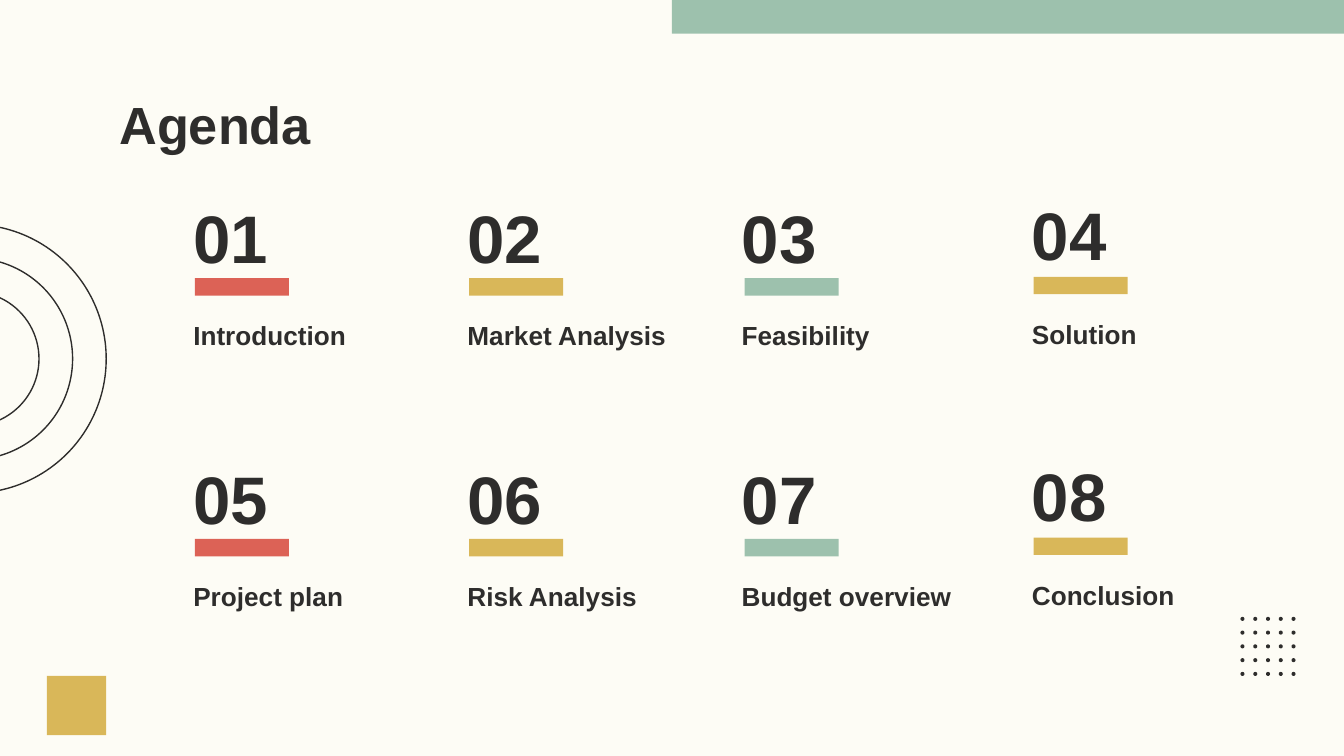
from dataclasses import dataclass
from itertools import product

from pptx import Presentation
from pptx.dml.color import RGBColor
from pptx.enum.shapes import MSO_SHAPE
from pptx.enum.text import MSO_ANCHOR
from pptx.util import Inches, Pt


@dataclass(frozen=True)
class Theme:
    font: str = "Arial"
    paper: str = "FDFCF5"
    ink: str = "2E2D2C"
    red: str = "DC6256"
    gold: str = "D9B759"
    green: str = "9DC1AD"
    title_size: int = 28
    number_size: int = 36
    label_size: int = 14
    ring_width: float = 0.75


THEME = Theme()

SLIDE_WIDTH = 10
SLIDE_HEIGHT = SLIDE_WIDTH * 9 / 16
COLUMNS = [
    (1.34, 1.45, 0, THEME.red),
    (3.38, 3.49, 0, THEME.gold),
    (5.42, 5.54, 0, THEME.green),
    (7.58, 7.69, 0.01, THEME.gold),
]
ROW_TOPS = [1.42, 3.36]
TOPICS = [
    ["Introduction", "Market Analysis", "Feasibility", "Solution"],
    ["Project plan", "Risk Analysis", "Budget overview", "Conclusion"],
]


def add_text(s, text, x, y, w, h, *, size, anchor=MSO_ANCHOR.TOP):
    tf = s.shapes.add_textbox(Inches(x), Inches(y), Inches(w), Inches(h)).text_frame
    tf.word_wrap = True
    tf.vertical_anchor = anchor
    tf.margin_left = tf.margin_right = Inches(0.1)
    tf.margin_top = tf.margin_bottom = Inches(0.1)
    r = tf.paragraphs[0].add_run()
    r.text = text
    r.font.name = THEME.font
    r.font.size = Pt(size)
    r.font.bold = True
    r.font.color.rgb = RGBColor.from_string(THEME.ink)


def add_shape(s, kind, x, y, w, h, *, fill=None, line=None):
    sp = s.shapes.add_shape(kind, Inches(x), Inches(y), Inches(w), Inches(h))
    sp.shadow.inherit = False
    if fill:
        sp.fill.solid()
        sp.fill.fore_color.rgb = RGBColor.from_string(fill)
    else:
        sp.fill.background()
    if line:
        sp.line.color.rgb = RGBColor.from_string(line)
        sp.line.width = Pt(THEME.ring_width)
    else:
        sp.line.fill.background()


def add_dot_grid(s, left, top, right, bottom, count=5, size=0.03):
    dx = (right - left) / (count - 1)
    dy = (bottom - top) / (count - 1)
    for row, col in product(range(count), repeat=2):
        add_shape(s, MSO_SHAPE.OVAL, left + col * dx, top + row * dy,
                  size, size, fill=THEME.ink)


def add_rings(s, cx, cy, diameters):
    for d in diameters:
        add_shape(s, MSO_SHAPE.OVAL, cx - d / 2, cy - d / 2, d, d, line=THEME.ink)


def add_decoration(s):
    add_shape(s, MSO_SHAPE.RECTANGLE, 5, 0, 5, 0.25, fill=THEME.green)
    add_shape(s, MSO_SHAPE.RECTANGLE, 0.35, 5.03, 0.44, 0.44, fill=THEME.gold)
    add_dot_grid(s, 9.23, 4.59, 9.61, 5)
    add_rings(s, -0.21, 2.67, (2, 1.5, 1))


def add_topic(s, number, label, top, column):
    x, bar_x, lift, color = column
    add_text(s, f"{number:02d}", x, top - 2 * lift, 1.18, 0.74,
             size=THEME.number_size, anchor=MSO_ANCHOR.BOTTOM)
    add_shape(s, MSO_SHAPE.RECTANGLE, bar_x, top + 0.65 - lift, 0.7, 0.13, fill=color)
    add_text(s, label, x, top + 0.86 - lift, 1.8, 0.46, size=THEME.label_size)


def main():
    prs = Presentation()
    prs.slide_width, prs.slide_height = Inches(SLIDE_WIDTH), Inches(SLIDE_HEIGHT)
    s = prs.slides.add_slide(prs.slide_layouts[6])
    s.background.fill.solid()
    s.background.fill.fore_color.rgb = RGBColor.from_string(THEME.paper)

    add_decoration(s)
    add_text(s, "Agenda", 0.79, 0.59, 8.42, 0.63, size=THEME.title_size)
    for row, (top, labels) in enumerate(zip(ROW_TOPS, TOPICS)):
        for col, (label, column) in enumerate(zip(labels, COLUMNS)):
            add_topic(s, row * len(COLUMNS) + col + 1, label, top, column)

    prs.save("out.pptx")


if __name__ == "__main__":
    main()
